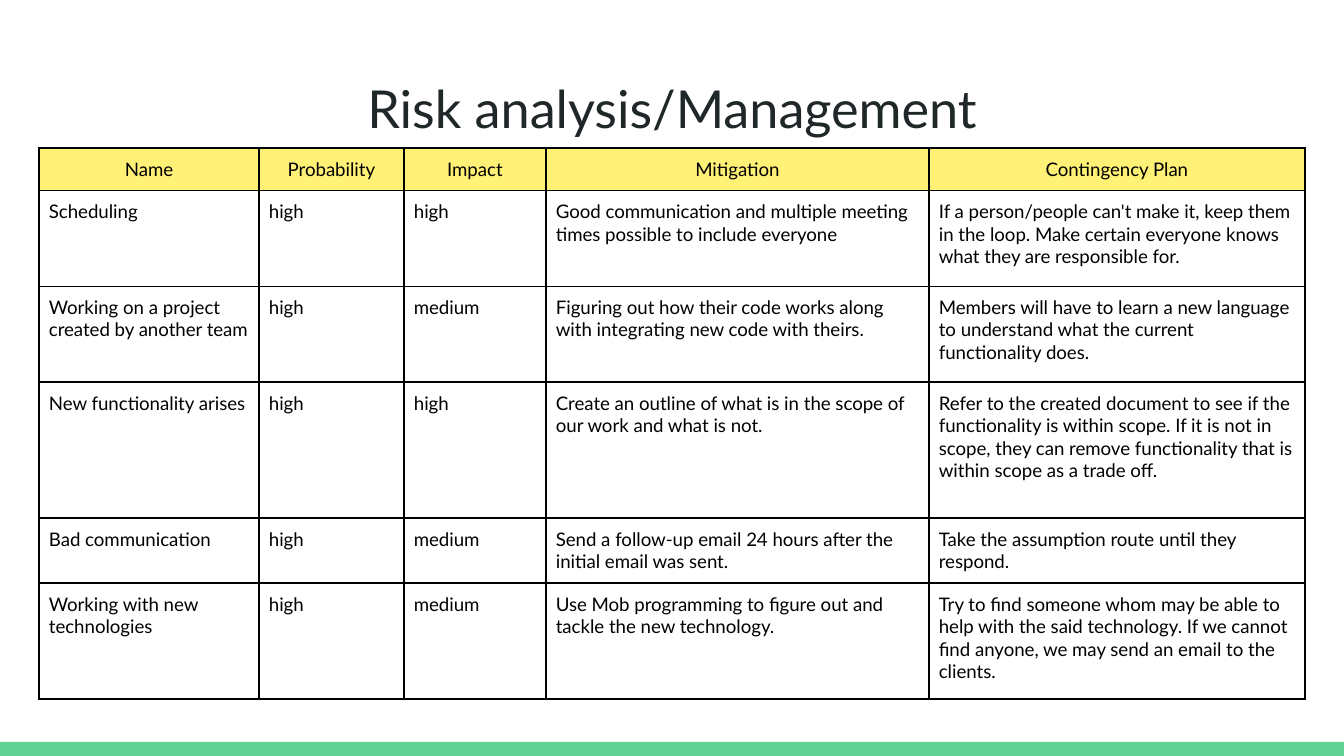
import pptx
import pptx.dml.color
import pptx.enum.shapes
import pptx.enum.text
import pptx.oxml
import pptx.oxml.ns
import pptx.util
from lxml import etree

PX = 914400 / 134.4
SLIDE_WIDTH, SLIDE_HEIGHT = 1344, 756
FONT = "Lato"
BLACK = pptx.dml.color.RGBColor(0x00, 0x00, 0x00)
INK = pptx.dml.color.RGBColor(0x20, 0x27, 0x29)
YELLOW = pptx.dml.color.RGBColor(0xFF, 0xF1, 0x76)
GREEN = pptx.dml.color.RGBColor(0x63, 0xD2, 0x97)

TITLE = "Risk analysis/Management"
TITLE_BOX = (46, 63, 1252, 85)
TABLE_LEFT, TABLE_TOP = 39, 148
BAR_HEIGHT = 14
TITLE_INSET, CELL_INSET = 13, 10

COLUMNS = [
    ("Name", 220),
    ("Probability", 145),
    ("Impact", 142),
    ("Mitigation", 383),
    ("Contingency Plan", 376),
]
HEADER_HEIGHT = 41
RISKS = [
    (96, "Scheduling", "high", "high",
     "Good communication and multiple meeting times possible to include everyone",
     "If a person/people can't make it, keep them in the loop. "
     "Make certain everyone knows what they are responsible for."),
    (96, "Working on a project created by another team", "high", "medium",
     "Figuring out how their code works along with integrating new code with theirs.",
     "Members will have to learn a new language to understand what the current "
     "functionality does."),
    (136, "New functionality arises", "high", "high",
     "Create an outline of what is in the scope of our work and what is not.",
     "Refer to the created document to see if the functionality is within scope. "
     "If it is not in scope, they can remove functionality that is within scope "
     "as a trade off."),
    (63, "Bad communication", "high", "medium",
     "Send a follow-up email 24 hours after the initial email was sent.",
     "Take the assumption route until they respond."),
    (116, "Working with new technologies", "high", "medium",
     "Use Mob programming to figure out and tackle the new technology.",
     "Try to find someone whom may be able to help with the said technology. "
     "If we cannot find anyone, we may send an email to the clients."),
]


def px(length):
    return pptx.util.Emu(round(length * PX))


def set_insets(holder, inset):
    for side in ("left", "top", "right", "bottom"):
        setattr(holder, f"margin_{side}", px(inset))


def format_text(text_frame, size, color, alignment):
    for paragraph in text_frame.paragraphs:
        paragraph.alignment = alignment
        for run in paragraph.runs:
            run.font.name = FONT
            run.font.size = pptx.util.Pt(size)
            run.font.bold = False
            run.font.color.rgb = color


def add_borders(cell):
    properties = cell._tc.get_or_add_tcPr()
    for edge in ("lnL", "lnR", "lnT", "lnB"):
        line = etree.SubElement(properties, pptx.oxml.ns.qn(f"a:{edge}"),
                                w=str(pptx.util.Pt(1)))
        fill = etree.SubElement(line, pptx.oxml.ns.qn("a:solidFill"))
        etree.SubElement(fill, pptx.oxml.ns.qn("a:srgbClr"), val=str(BLACK))


def add_title(slide):
    title = slide.shapes.title
    title.left, title.top, title.width, title.height = map(px, TITLE_BOX)
    frame = title.text_frame
    frame.text = TITLE
    frame.word_wrap = True
    frame.auto_size = pptx.enum.text.MSO_AUTO_SIZE.NONE
    frame.vertical_anchor = pptx.enum.text.MSO_ANCHOR.TOP
    set_insets(frame, TITLE_INSET)
    format_text(frame, 28, INK, pptx.enum.text.PP_ALIGN.CENTER)


def add_bottom_bar(slide):
    bar = slide.shapes.add_shape(
        pptx.enum.shapes.MSO_SHAPE.RECTANGLE,
        0, px(SLIDE_HEIGHT - BAR_HEIGHT), px(SLIDE_WIDTH), px(BAR_HEIGHT))
    bar.shadow.inherit = False
    bar.fill.solid()
    bar.fill.fore_color.rgb = GREEN
    bar.line.fill.background()


def add_risk_table(slide):
    headings, widths = zip(*COLUMNS)
    rows = [(HEADER_HEIGHT, *headings), *RISKS]
    table = slide.shapes.add_table(
        len(rows), len(COLUMNS), px(TABLE_LEFT), px(TABLE_TOP),
        px(sum(widths)), px(sum(row[0] for row in rows))).table
    table.first_row = table.horz_banding = False
    for column, width in zip(table.columns, widths):
        column.width = px(width)
    for row_index, (height, *texts) in enumerate(rows):
        table.rows[row_index].height = px(height)
        for column_index, text in enumerate(texts):
            cell = table.cell(row_index, column_index)
            cell.text_frame.text = text
            set_insets(cell, CELL_INSET)
            add_borders(cell)
            if row_index == 0:
                alignment = pptx.enum.text.PP_ALIGN.CENTER
                cell.fill.solid()
                cell.fill.fore_color.rgb = YELLOW
            else:
                alignment = pptx.enum.text.PP_ALIGN.LEFT
                cell.fill.background()
            format_text(cell.text_frame, 10, BLACK, alignment)


def main():
    presentation = pptx.Presentation()
    presentation.slide_width = px(SLIDE_WIDTH)
    presentation.slide_height = px(SLIDE_HEIGHT)
    title_only = presentation.slide_layouts[5]
    slide = presentation.slides.add_slide(title_only)
    add_bottom_bar(slide)
    add_title(slide)
    add_risk_table(slide)
    presentation.save("out.pptx")


if __name__ == "__main__":
    main()
